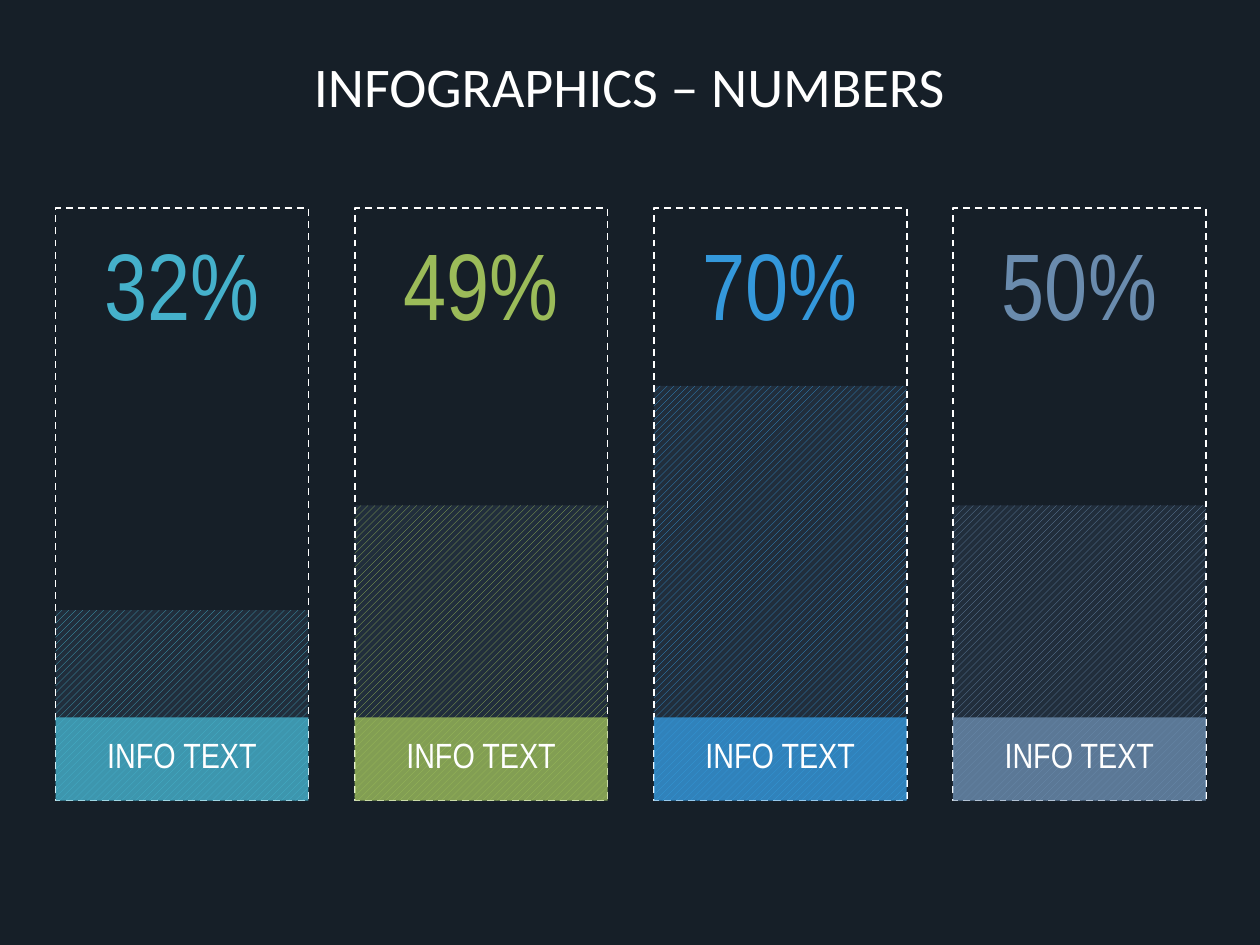
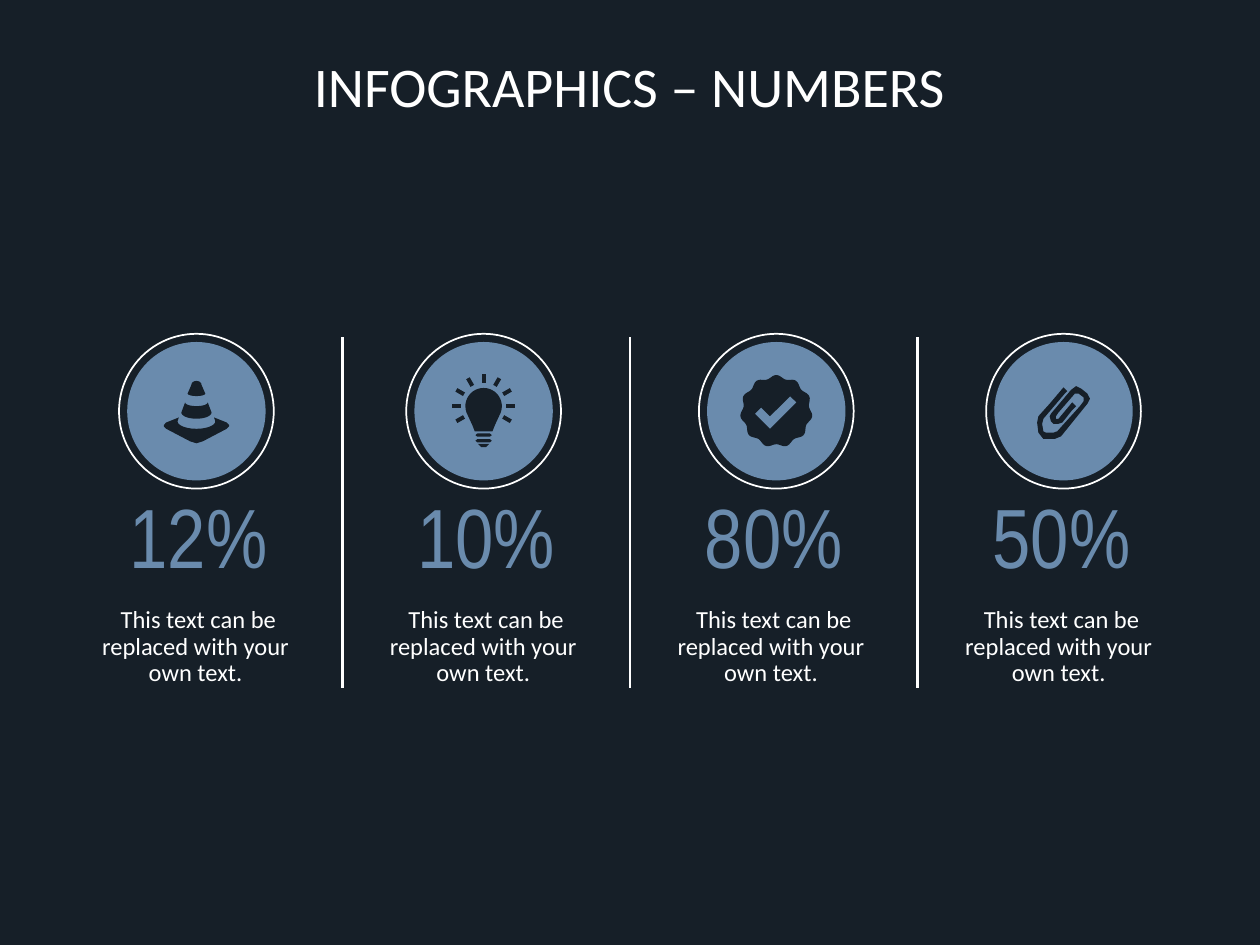
from math import cos, radians, sin

from lxml.etree import SubElement
from pptx import Presentation
from pptx.dml.color import RGBColor
from pptx.enum.dml import MSO_LINE, MSO_PATTERN
from pptx.enum.shapes import MSO_CONNECTOR, MSO_SHAPE
from pptx.enum.text import MSO_ANCHOR, MSO_AUTO_SIZE, PP_ALIGN
from pptx.oxml.ns import qn
from pptx.util import Cm, Pt

NIGHT, SHADE, WHITE = "161F28", "212E3C", "FFFFFF"
TEAL, GREEN, BLUE, STEEL = "45B1CB", "9BBB59", "3498DB", "6A8BAD"
BODY_FONT, NUMBER_FONT = "Calibri", "Arial Narrow"
TITLE = "INFOGRAPHICS – NUMBERS"
DISC = 2.79
ICON_UNIT = Cm(DISC) / 110


def colour(value):
    """Turn a hex string into a colour."""
    return RGBColor.from_string(value)


def write_text(box, text, size=14, font=BODY_FONT, tint=WHITE, spacing=0.9,
               after=10, anchor=MSO_ANCHOR.MIDDLE, insets=(0, 0, 0, 0)):
    """Fill a shape with one centred, formatted paragraph."""
    frame = box.text_frame
    frame.word_wrap = True
    frame.auto_size = MSO_AUTO_SIZE.NONE
    frame.vertical_anchor = anchor
    (frame.margin_left, frame.margin_top,
     frame.margin_right, frame.margin_bottom) = [Cm(inset) for inset in insets]
    para = frame.paragraphs[0]
    para.alignment = PP_ALIGN.CENTER
    para.line_spacing = spacing
    para.space_before, para.space_after = Pt(0), Pt(after)
    for index, line in enumerate(text.split("\n")):
        if index:
            para.add_line_break()
        span = para.add_run()
        span.text = line
        span.font.name, span.font.size = font, Pt(size)
        span.font.color.rgb = colour(tint)


def arc(x, y, across, down, start, end, steps=24):
    """Return points along an elliptical arc, in degrees."""
    angles = [radians(start + (end - start) * step / steps) for step in range(steps + 1)]
    return [(x + across * cos(angle), y + down * sin(angle)) for angle in angles]


def cone_icon():
    """Return the outlines of a traffic cone."""
    cap = arc(0, -14, 7, 2, 0, 180) + arc(0, -21, 4, 3, 180, 360)
    band = arc(0, 1, 12, 5, 0, 180) + arc(0, -7, 9, 3, 180, 0)
    base = [(24, 9), (14, 5), *arc(0, 8, 15, 6, 0, 180), (-14, 5), (-24, 9),
            (-26, 11), (-26, 12), (-24, 14), (-5, 24), (0, 25.5), (5, 24),
            (24, 14), (26, 12), (26, 11)]
    return [[cap, band, base]]


def bulb_icon():
    """Return the outlines of a shining light bulb."""
    glass = arc(0, -4, 14.5, 14.5, 160, 380) + [(9, 11), (7, 16), (-7, 16), (-9, 11)]
    parts = [glass]
    for middle in (19, 23.5):
        parts.append([(-5, middle - 1.3), (5, middle - 1.3), (6.5, middle),
                      (5, middle + 1.3), (-5, middle + 1.3), (-6.5, middle)])
    parts.append([(-4.5, 26), (4.5, 26), (2, 28.5), (-2, 28.5)])
    for degrees in range(150, 391, 30):
        along, aside = cos(radians(degrees)), sin(radians(degrees))
        corners = ((18, -1.6), (25, -1.6), (25, 1.6), (18, 1.6))
        parts.append([(reach * along - side * aside, reach * aside + side * along - 4.5)
                      for reach, side in corners])
    return [[part] for part in parts]


def seal_icon():
    """Return the outlines of a scalloped seal with a tick cut out."""
    rim = []
    for degrees in range(0, 360, 3):
        radius = 27.5 + 1.3 * cos(radians(11 * (degrees + 90)))
        rim.append((radius * cos(radians(degrees)), radius * sin(radians(degrees))))
    tick = [(-12, -3), (-17, 2), (-5, 14), (16, -7), (11, -12), (-5, 4)]
    return [[rim, tick]]


def clip_icon():
    """Return the outline of a paper clip."""
    wire = [(0, -19), (3, -16), (1, -14), (-16, 6), (-17, 10), (-16, 16), (-14, 17),
            (-8, 17), (-5, 16), (13, -4), (16, -8), (16, -11), (12, -14), (9, -14),
            (-4, 1), (-6, 4), (-6, 6), (-4, 6), (6, -6), (7, -7), (10, -4), (7, -1),
            (-1, 9), (-4, 10), (-8, 10), (-10, 8), (-11, 4), (-10, 2), (6, -17),
            (10, -20), (14, -18), (19, -14), (21, -10), (19, -6), (-2, 20), (-7, 22),
            (-16, 22), (-20, 17), (-21, 9), (-20, 4), (-11, -6)]
    return [[wire]]


class Designer:
    """Hold the deck's style and the slide being drawn."""

    def __init__(self):
        """Start a dark deck."""
        self.deck = Presentation()
        self.deck.slide_width, self.deck.slide_height = Cm(25.4), Cm(19.05)
        backdrop = self.deck.slide_master.background.fill
        backdrop.solid()
        backdrop.fore_color.rgb = colour(NIGHT)
        self.page = None

    def new_page(self, title):
        """Add a slide with its title."""
        self.page = self.deck.slides.add_slide(self.deck.slide_layouts[5])
        box = self.page.shapes.title
        box.left, box.top, box.width, box.height = Cm(1.09), Cm(1.19), Cm(23.2), Cm(3)
        write_text(box, title, size=32, after=0, anchor=MSO_ANCHOR.TOP)

    def shape(self, kind, left, top, width, height, fill=None, line=None, opacity=100):
        """Add a preset shape with a flat fill or an outline."""
        shape = self.page.shapes.add_shape(kind, Cm(left), Cm(top), Cm(width), Cm(height))
        return self.finish(shape, fill, line, opacity)

    def finish(self, shape, fill=None, line=None, opacity=100):
        """Set the fill and outline of a shape."""
        shape.shadow.inherit = False
        if fill:
            shape.fill.solid()
            shape.fill.fore_color.rgb = colour(fill)
        else:
            shape.fill.background()
        if opacity < 100:
            solid = shape.fill.fore_color._xFill.find(qn("a:srgbClr"))
            SubElement(solid, qn("a:alpha")).set("val", str(opacity * 1000))
        if line:
            shape.line.color.rgb = colour(line)
            shape.line.width = Pt(1)
        else:
            shape.line.fill.background()
        return shape

    def hatch(self, left, top, width, height, tint):
        """Add a rectangle filled with diagonal stripes."""
        bar = self.shape(MSO_SHAPE.RECTANGLE, left, top, width, height)
        bar.fill.patterned()
        bar.fill.pattern = MSO_PATTERN.WIDE_UPWARD_DIAGONAL
        bar.fill.fore_color.rgb = colour(tint)
        bar.fill.back_color.rgb = colour(SHADE)

    def text(self, left, top, width, height, words, **style):
        """Add a text box."""
        box = self.page.shapes.add_textbox(Cm(left), Cm(top), Cm(width), Cm(height))
        write_text(box, words, **style)

    def number(self, left, top, width, height, words, size, tint):
        """Add a large figure."""
        self.text(left, top, width, height, words, size=size, font=NUMBER_FONT,
                  tint=tint, spacing=0.8, insets=(0.2, 0.2, 0.2, 0.41))

    def circle(self, x, y, diameter, **style):
        """Add a circle around a centre."""
        self.shape(MSO_SHAPE.OVAL, x - diameter / 2, y - diameter / 2,
                   diameter, diameter, **style)

    def divider(self, x, top, bottom):
        """Add a vertical white line."""
        line = self.page.shapes.add_connector(
            MSO_CONNECTOR.STRAIGHT, Cm(x), Cm(bottom), Cm(x), Cm(top))
        line.line.color.rgb = colour(WHITE)
        line.line.width = Pt(1.5)
        SubElement(line._element.spPr, qn("a:effectLst"))

    def icon(self, x, y, pieces):
        """Draw icon pieces, each made of closed outlines, around a centre."""
        fine = 100
        for outlines in pieces:
            scaled = [[(a * fine, b * fine) for a, b in outline] for outline in outlines]
            builder = self.page.shapes.build_freeform(*scaled[0][0], scale=ICON_UNIT / fine)
            builder.add_line_segments(scaled[0][1:], close=True)
            for outline in scaled[1:]:
                builder.move_to(*outline[0])
                builder.add_line_segments(outline[1:], close=True)
            self.finish(builder.convert_to_shape(Cm(x), Cm(y)), fill=NIGHT)


def draw_columns(designer):
    """Draw the slide of four filled columns."""
    designer.new_page(TITLE)
    top, bottom, width, label_height = 4.2, 16.14, 5.1, 1.68
    columns = [("32%", TEAL, 3.84), ("49%", GREEN, 5.95),
               ("70%", BLUE, 8.36), ("50%", STEEL, 5.95)]
    for index, (share, tint, level) in enumerate(columns):
        left = 1.12 + 6.03 * index
        designer.hatch(left, bottom - level, width, level, tint)
        frame = designer.shape(MSO_SHAPE.RECTANGLE, left, top, width, bottom - top, line=WHITE)
        frame.line.dash_style = MSO_LINE.DASH
        designer.number(left, top + 0.04, width, 3.56, share, 54, tint)
        label = designer.shape(MSO_SHAPE.RECTANGLE, left, bottom - label_height,
                               width, label_height, fill=tint, opacity=80)
        write_text(label, "INFO TEXT", size=20, font=NUMBER_FONT, spacing=0.8)


def draw_badges(designer):
    """Draw the slide of four icon badges."""
    designer.new_page(TITLE)
    width, middle = 5.8, 8.29
    badges = [("12%", 3.96, cone_icon()), ("10%", 9.75, bulb_icon()),
              ("80%", 15.65, seal_icon()), ("50%", 21.44, clip_icon())]
    for index, (share, centre, pieces) in enumerate(badges):
        left = 1.1 + width * index
        if index:
            designer.divider(left, 6.8, 13.86)
        designer.circle(centre, middle, DISC, fill=STEEL)
        designer.circle(centre, middle, 3.12, line=WHITE)
        designer.icon(centre, middle, pieces)
        designer.number(left, 10.31, width, 1.55, share, 48, STEEL)
        designer.text(left, 11.84, width, 2.21,
                      "This text can be replaced with your \nown text. ",
                      anchor=MSO_ANCHOR.BOTTOM, insets=(0.51, 0.1, 0.51, 0.2))


def main():
    """Build and save the deck."""
    designer = Designer()
    draw_columns(designer)
    draw_badges(designer)
    designer.deck.save("out.pptx")


if __name__ == "__main__":
    main()
